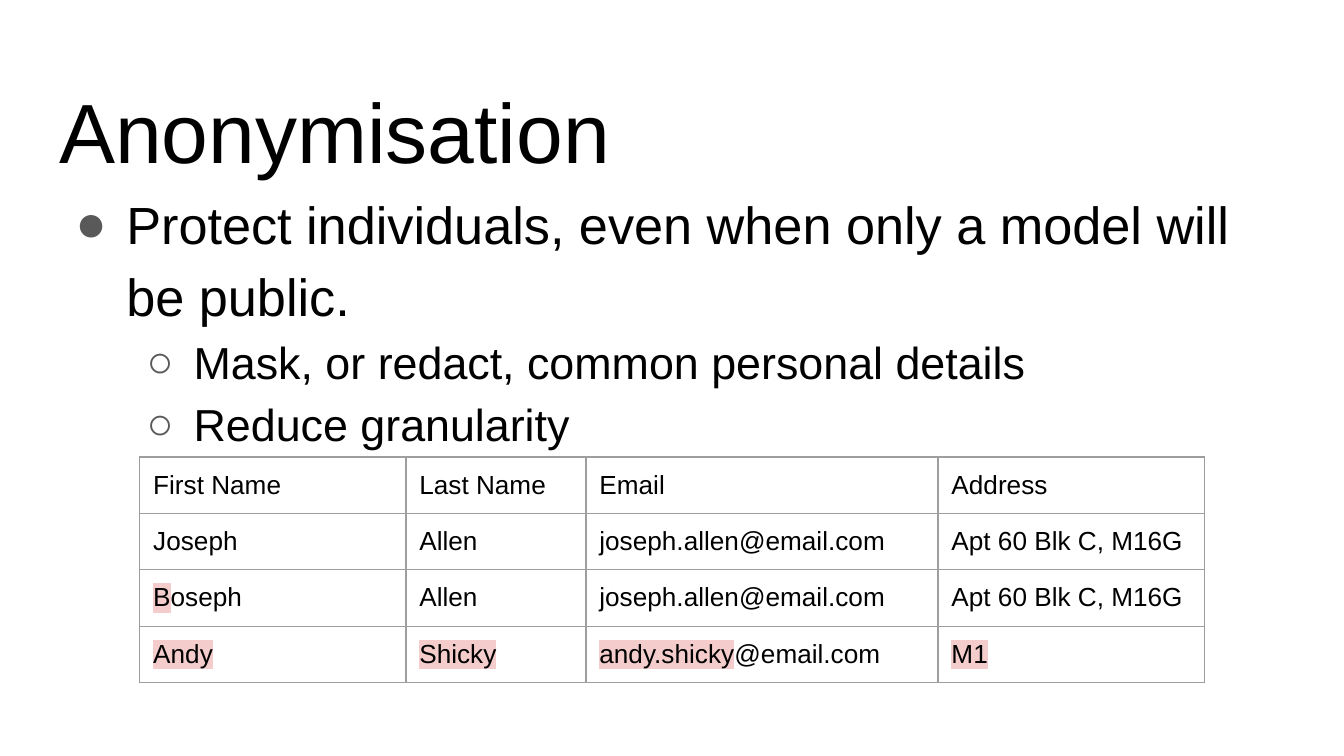
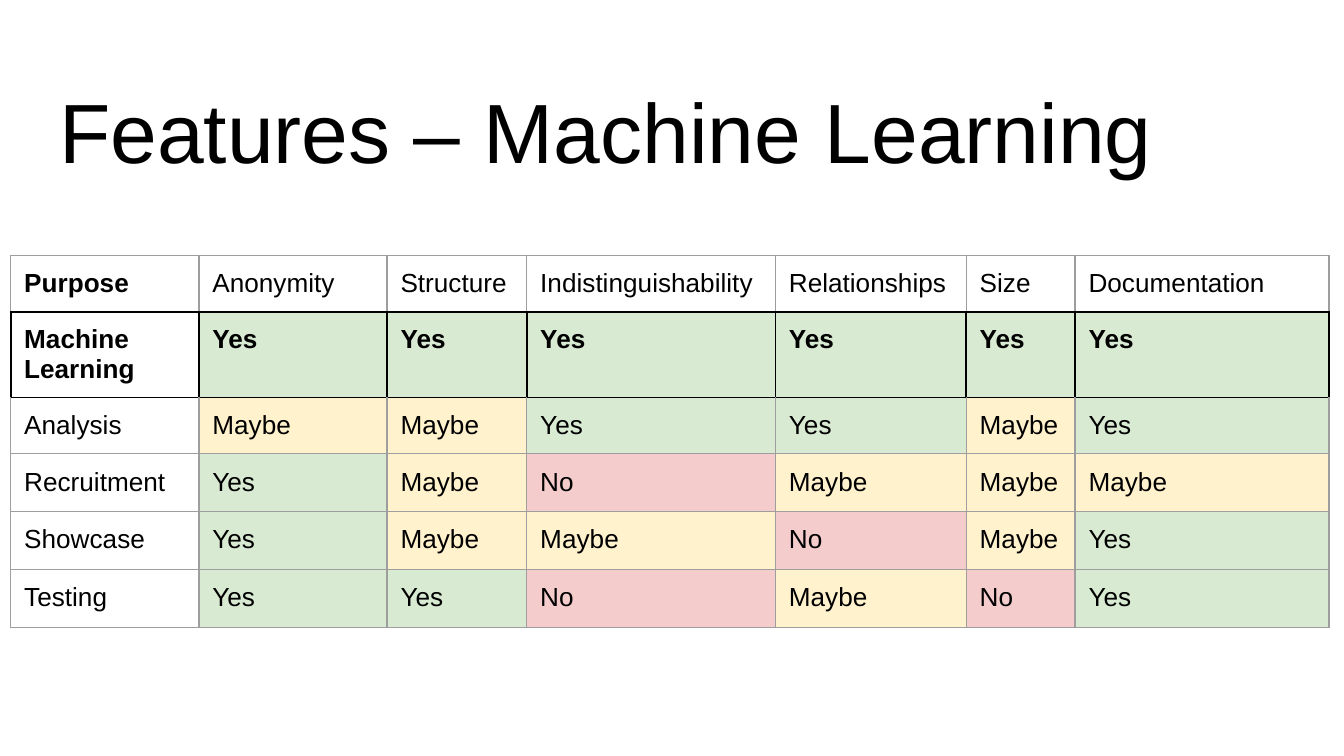
import dataclasses
import typing

import pptx
import pptx.dml.color
import pptx.enum.text
import pptx.oxml
import pptx.oxml.ns
import pptx.slide
import pptx.text.text
import pptx.util

Inches = pptx.util.Inches
Pt = pptx.util.Pt
FONT = "Arial"
PAD = Inches(0.1)
WIDTH = Inches(10)
COLORS = {
    "ink": "000000", "bullet": "595959", "rule": "9E9E9E",
    "green": "D9EAD3", "amber": "FFF2CC", "red": "F4CCCC",
}
FILLS = {"Yes": "green", "Maybe": "amber", "No": "red"}
FRAME = {
    "word_wrap": True,
    "auto_size": pptx.enum.text.MSO_AUTO_SIZE.NONE,
    "vertical_anchor": pptx.enum.text.MSO_ANCHOR.TOP,
    "margin_left": PAD, "margin_top": PAD, "margin_right": PAD, "margin_bottom": PAD,
}
CELL = {key: PAD for key in FRAME if key.startswith("margin")}


class Box(typing.NamedTuple):
    left: float
    top: float
    width: float
    height: float


class Level(typing.NamedTuple):
    mark: str
    left: float
    hang: float
    size: int


class Text(typing.NamedTuple):
    """Cell text, of which the first part can be highlighted."""
    plain: str
    marked: str = ""


@dataclasses.dataclass
class Grid:
    left: float
    top: float
    cols: list[float]
    rows: list[float]
    cells: list[list[Text]]
    key: int | None = None  # row set in bold with a black outline


TITLE = Box(0.34, 0.49, 9.32, 0.63)
BODY = Box(0.34, 1.26, 9.32, 3.74)
LEVELS = [Level("●", 0.5, 0.38, 28), Level("○", 1, 0.35, 24)]
POINTS = [
    (0, "Protect individuals, even when only a model will be public."),
    (1, "Mask, or redact, common personal details"),
    (1, "Reduce granularity"),
]


def plain(*words: str) -> list[Text]:
    return [Text(word) for word in words]


PEOPLE = Grid(
    1.04, 3.4, [1.98, 1.34, 2.62, 1.98], [0.42] * 4,
    [
        plain("First Name", "Last Name", "Email", "Address"),
        plain("Joseph", "Allen", "joseph.allen@email.com", "Apt 60 Blk C, M16G"),
        [Text("oseph", "B"), *plain("Allen", "joseph.allen@email.com", "Apt 60 Blk C, M16G")],
        [Text("", "Andy"), Text("", "Shicky"), Text("@email.com", "andy.shicky"), Text("", "M1")],
    ],
)
NEEDS = Grid(
    0.08, 1.9, [1.4, 1.4, 1.04, 1.85, 1.42, 0.81, 1.89], [0.42] * 3 + [0.43] * 3,
    [
        plain("Purpose", "Anonymity", "Structure", "Indistinguishability",
              "Relationships", "Size", "Documentation"),
        plain("Machine Learning", *["Yes"] * 6),
        plain("Analysis", "Maybe", "Maybe", "Yes", "Yes", "Maybe", "Yes"),
        plain("Recruitment", "Yes", "Maybe", "No", "Maybe", "Maybe", "Maybe"),
        plain("Showcase", "Yes", "Maybe", "Maybe", "No", "Maybe", "Yes"),
        plain("Testing", "Yes", "Yes", "No", "Maybe", "No", "Yes"),
    ],
    key=1,
)


def apply(target: typing.Any, values: dict[str, typing.Any]) -> None:
    for name, value in values.items():
        setattr(target, name, value)


def color(name: str) -> pptx.dml.color.RGBColor:
    return pptx.dml.color.RGBColor.from_string(COLORS[name])


def node(tag: str, inner: str = "", **attrs: typing.Any) -> typing.Any:
    """Make one DrawingML element."""
    pairs = "".join(f' {key}="{value}"' for key, value in attrs.items())
    space = pptx.oxml.ns.nsdecls("a")
    return pptx.oxml.parse_xml(f"<a:{tag} {space}{pairs}>{inner}</a:{tag}>")


def write(para: typing.Any, text: str, size: float,
          bold: bool = False, mark: bool = False) -> None:
    run = para.add_run()
    run.text = text
    apply(run.font, {"size": Pt(size), "name": FONT, "bold": bold})
    run.font.color.rgb = color("ink")
    if mark:
        fill = run.font.fill._xPr.find(pptx.oxml.ns.qn("a:solidFill"))
        fill.addnext(node("highlight", f'<a:srgbClr val="{COLORS["red"]}"/>'))


def place(shape: typing.Any, box: Box) -> pptx.text.text.TextFrame:
    apply(shape, {key: Inches(value) for key, value in box._asdict().items()})
    apply(shape.text_frame, FRAME)
    return shape.text_frame


def start(deck: typing.Any, layout: int, title: str) -> pptx.slide.Slide:
    """Add a slide with its title."""
    slide = deck.slides.add_slide(deck.slide_layouts[layout])
    para = place(slide.shapes.title, TITLE).paragraphs[0]
    apply(para, {"alignment": pptx.enum.text.PP_ALIGN.LEFT, "line_spacing": 1.0})
    write(para, title, 45)
    return slide


def fill_list(slide: pptx.slide.Slide) -> None:
    frame = place(slide.placeholders[1], BODY)
    for index, (depth, text) in enumerate(POINTS):
        para = frame.add_paragraph() if index else frame.paragraphs[0]
        level = LEVELS[depth]
        props = para._p.get_or_add_pPr()
        props.set("marL", str(Inches(level.left)))
        props.set("indent", str(-Inches(level.hang)))
        props.append(node("buClr", f'<a:srgbClr val="{COLORS["bullet"]}"/>'))
        props.append(node("buChar", char=level.mark))
        apply(para, {"level": depth, "line_spacing": 1.15, "space_before": Pt(0)})
        write(para, text, level.size)


def edge(cell: typing.Any, row: int, key: int | None) -> None:
    """Draw the four borders, black where they touch the key row."""
    beside = {"L": row, "R": row, "T": row - 1, "B": row + 1}
    for index, (side, other) in enumerate(beside.items()):
        black = key is not None and key in (row, other)
        tone, width = ("ink", 1) if black else ("rule", 0.75)
        inner = f'<a:solidFill><a:srgbClr val="{COLORS[tone]}"/></a:solidFill>'
        line = node(f"ln{side}", inner, w=Pt(width))
        cell._tc.get_or_add_tcPr().insert(index, line)


def draw_grid(slide: pptx.slide.Slide, grid: Grid) -> None:
    table = slide.shapes.add_table(
        len(grid.rows), len(grid.cols), Inches(grid.left), Inches(grid.top),
        Inches(sum(grid.cols)), Inches(sum(grid.rows))).table
    apply(table, {"first_row": False, "horz_banding": False})
    for col, width in zip(table.columns, grid.cols):
        col.width = Inches(width)
    for row, height in zip(table.rows, grid.rows):
        row.height = Inches(height)
    for r, line in enumerate(grid.cells):
        for c, text in enumerate(line):
            cell = table.cell(r, c)
            apply(cell, CELL)
            if text.plain in FILLS:
                cell.fill.solid()
                cell.fill.fore_color.rgb = color(FILLS[text.plain])
            else:
                cell.fill.background()
            edge(cell, r, grid.key)
            bold = grid.key is not None and (r == grid.key or r == c == 0)
            para = cell.text_frame.paragraphs[0]
            if text.marked:
                write(para, text.marked, 14, bold, mark=True)
            if text.plain:
                write(para, text.plain, 14, bold)


def main() -> None:
    deck = pptx.Presentation()
    apply(deck, {"slide_width": WIDTH, "slide_height": WIDTH * 9 // 16})
    slide = start(deck, 1, "Anonymisation")
    fill_list(slide)
    draw_grid(slide, PEOPLE)
    draw_grid(start(deck, 5, "Features – Machine Learning"), NEEDS)
    deck.save("out.pptx")


if __name__ == "__main__":
    main()
